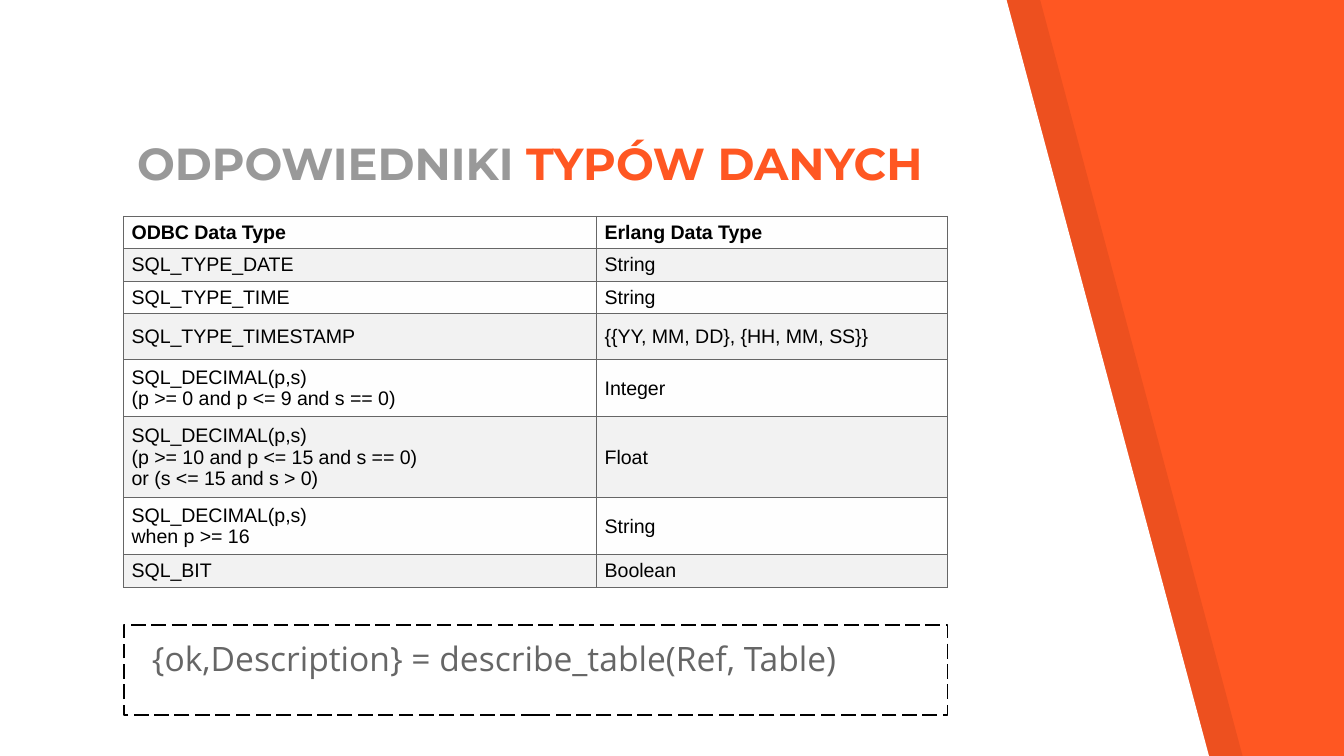
from lxml import etree
from pptx import Presentation
from pptx.dml.color import RGBColor
from pptx.enum.dml import MSO_LINE
from pptx.enum.text import MSO_ANCHOR, MSO_AUTO_SIZE, PP_ALIGN
from pptx.oxml import parse_xml
from pptx.oxml.ns import nsdecls, qn
from pptx.util import Inches, Pt

LEFT, TOP, MIDDLE, BOTTOM = PP_ALIGN.LEFT, MSO_ANCHOR.TOP, MSO_ANCHOR.MIDDLE, MSO_ANCHOR.BOTTOM
NO_FIT = MSO_AUTO_SIZE.NONE
LONG_DASH = MSO_LINE.LONG_DASH

THEME = {
    "accent": "FF5722", "paper": "FFFFFF", "black": "000000",
    "muted": "999999", "text": "666666", "grid": "666666",
    "bands": ("FEFEFE", "F2F2F2"),
    "title": ("Montserrat", 24), "body": ("Open Sans", 18), "table": ("Arial", 10.5),
}

TITLE = [("ODPOWIEDNIKI ", "muted"), ("TYPÓW DANYCH", "accent")]
CALL = "{ok,Description} = describe_table(Ref, Table)"
# Relative row height, ODBC type lines, Erlang type
ROWS = [
    (0.24, ["ODBC Data Type"], "Erlang Data Type"),
    (0.24, ["SQL_TYPE_DATE"], "String"),
    (0.24, ["SQL_TYPE_TIME"], "String"),
    (0.34, ["SQL_TYPE_TIMESTAMP"], "{{YY, MM, DD}, {HH, MM, SS}}"),
    (0.42, ["SQL_DECIMAL(p,s)", "(p >= 0 and p <= 9 and s == 0)"], "Integer"),
    (0.6, ["SQL_DECIMAL(p,s)", "(p >= 10 and p <= 15 and s == 0)",
           "or (s <= 15 and s > 0)"], "Float"),
    (0.42, ["SQL_DECIMAL(p,s)", "when p >= 16"], "String"),
    (0.24, ["SQL_BIT"], "Boolean"),
]
COLUMNS = (3.52, 2.61)
LEFT_EDGE, WIDTH = 0.92, sum(COLUMNS)
TITLE_TOP, TITLE_HEIGHT = 0.98, 0.53
TABLE_TOP, TABLE_HEIGHT = 1.61, 2.76
CALL_TOP, CALL_HEIGHT = 4.65, 0.67
PANEL = [(0, -0.01), (0, 5.64), (9, 5.64), (7.49, 0)]
SHADE_OFFSET, SHADE_ALPHA = 0.25, 7


def rgb(value):
    return RGBColor.from_string(value)


def add_run(p, text, style, color, bold=False):
    r = p.add_run()
    r.text = text
    name, size = THEME[style]
    r.font.name, r.font.size, r.font.bold = name, Pt(size), bold
    r.font.color.rgb = rgb(THEME[color])


def add_panel(s, offset, color, alpha=None):
    """Draw the slanted panel behind everything already on the slide."""
    points = [(Inches(x + offset), Inches(y)) for x, y in PANEL]
    builder = s.shapes.build_freeform(*points[0], scale=1.0)
    builder.add_line_segments(points[1:], close=True)
    sp = builder.convert_to_shape()
    sp.shadow.inherit = False
    sp.line.fill.background()
    sp.fill.solid()
    sp.fill.fore_color.rgb = rgb(THEME[color])
    if alpha is not None:
        clr = sp.element.spPr.find(".//" + qn("a:srgbClr"))
        etree.SubElement(clr, qn("a:alpha")).set("val", str(alpha * 1000))
    sp.element.getparent().insert(2, sp.element)


def place(sp, top, height, anchor):
    """Move a placeholder into the text column and return its first paragraph."""
    sp.left, sp.top = Inches(LEFT_EDGE), Inches(top)
    sp.width, sp.height = Inches(WIDTH), Inches(height)
    tf = sp.text_frame
    tf.word_wrap, tf.auto_size, tf.vertical_anchor = True, NO_FIT, anchor
    tf.margin_left = tf.margin_right = tf.margin_top = tf.margin_bottom = Inches(0.1)
    p = tf.paragraphs[0]
    p.alignment = LEFT
    return p


def set_borders(cell):
    tc_pr = cell._tc.get_or_add_tcPr()
    for i, side in enumerate(("lnL", "lnR", "lnT", "lnB")):
        tc_pr.insert(i, parse_xml(
            f'<a:{side} {nsdecls("a")} w="{Pt(0.6)}"><a:solidFill>'
            f'<a:srgbClr val="{THEME["grid"]}"/></a:solidFill></a:{side}>'))


def fill_cell(cell, lines, band, bold):
    cell.fill.solid()
    cell.fill.fore_color.rgb = rgb(band)
    cell.vertical_anchor = MIDDLE
    cell.margin_left = cell.margin_right = Inches(0.06)
    cell.margin_top = cell.margin_bottom = Inches(0.03)
    tf = cell.text_frame
    for i, line in enumerate(lines):
        p = tf.add_paragraph() if i else tf.paragraphs[0]
        add_run(p, line, "table", "black", bold)
    set_borders(cell)


def add_type_table(s):
    table = s.shapes.add_table(len(ROWS), len(COLUMNS), Inches(LEFT_EDGE), Inches(TABLE_TOP),
                               Inches(WIDTH), Inches(TABLE_HEIGHT)).table
    table.horz_banding = False
    for column, width in zip(table.columns, COLUMNS):
        column.width = Inches(width)
    stretch = TABLE_HEIGHT / sum(row[0] for row in ROWS)
    for i, (height, odbc, erlang) in enumerate(ROWS):
        table.rows[i].height = Inches(height * stretch)
        for j, lines in enumerate((odbc, [erlang])):
            fill_cell(table.cell(i, j), lines, THEME["bands"][i % 2], bold=i == 0)


def main():
    prs = Presentation()
    prs.slide_width = Inches(10)
    prs.slide_height = Inches(10 * 9 / 16)
    s = prs.slides.add_slide(prs.slide_layouts[1])
    s.background.fill.solid()
    s.background.fill.fore_color.rgb = rgb(THEME["accent"])
    add_panel(s, 0, "paper")
    add_panel(s, SHADE_OFFSET, "black", SHADE_ALPHA)

    p = place(s.shapes.title, TITLE_TOP, TITLE_HEIGHT, BOTTOM)
    for text, color in TITLE:
        add_run(p, text, "title", color, bold=True)

    body = s.placeholders[1]
    p = place(body, CALL_TOP, CALL_HEIGHT, TOP)
    p.space_before = Pt(6)
    p_pr = p._p.get_or_add_pPr()
    p_pr.set("marL", str(Inches(0.11)))
    p_pr.set("indent", "0")
    etree.SubElement(p_pr, qn("a:buNone"))
    add_run(p, CALL, "body", "text")
    body.line.color.rgb = rgb(THEME["black"])
    body.line.width = Pt(1)
    body.line.dash_style = LONG_DASH

    add_type_table(s)
    prs.save("out.pptx")


if __name__ == "__main__":
    main()
